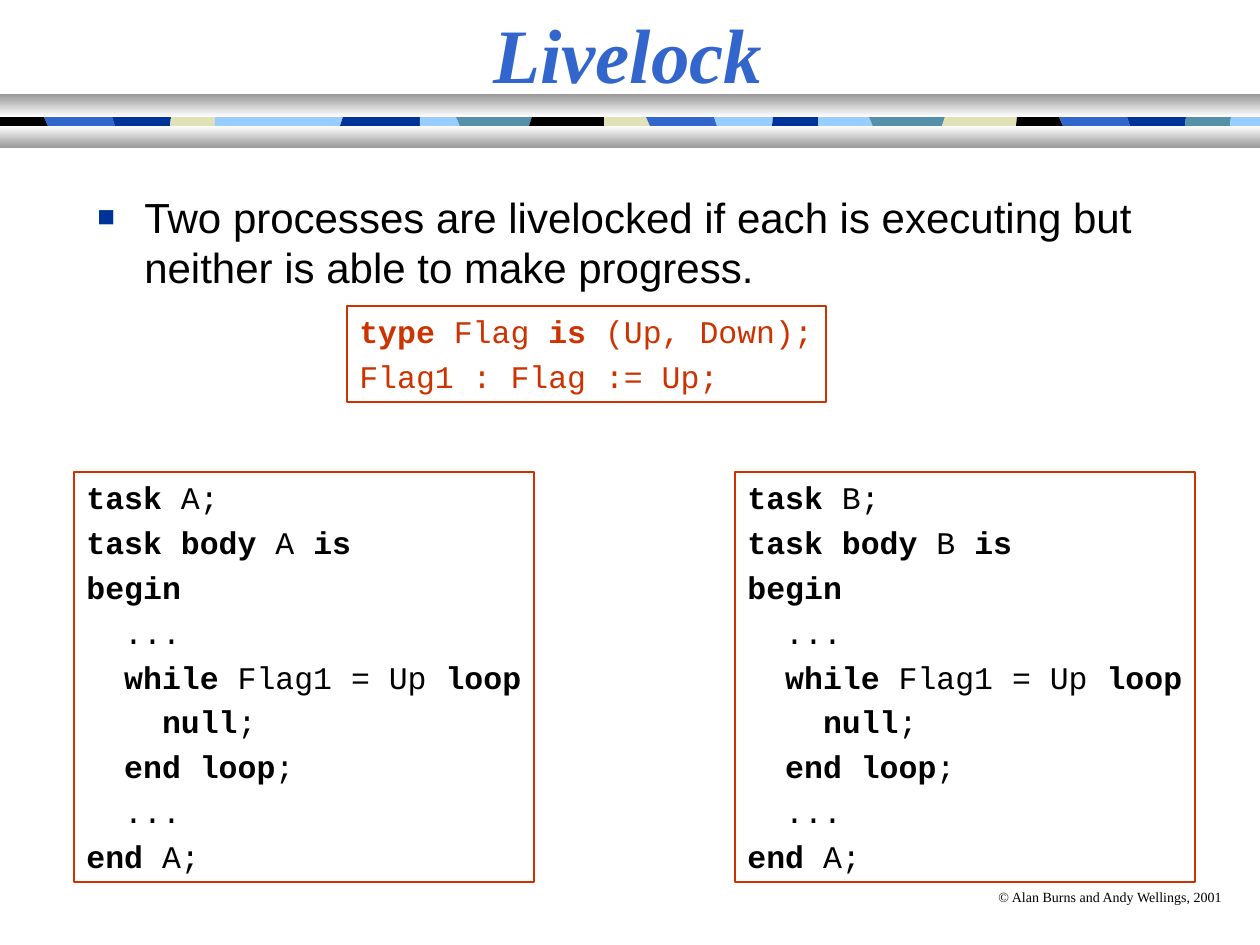
import pptx
import pptx.dml.color
import pptx.enum.shapes
import pptx.enum.text
import pptx.oxml
import pptx.util

PX = 914400 / 126
WHITE, GREY, RED, BLACK = "FFFFFF", "989898", "CC3300", "000000"
BLUE, NAVY, SKY, TEAL, CREAM = "3366CC", "003399", "99CCFF", "5490A8", "E1E1B7"
TILES = [
    (BLACK, 44, 48), (BLUE, 112, 115), (NAVY, 171, 170), (CREAM, 215, 215),
    (SKY, 343, 340), (NAVY, 420, 420), (SKY, 456, 460), (TEAL, 532, 529),
    (BLACK, 604, 604), (CREAM, 646, 650), (BLUE, 714, 717), (SKY, 773, 772),
    (NAVY, 818, 818), (SKY, 869, 873), (TEAL, 945, 942), (CREAM, 1017, 1016),
    (BLACK, 1059, 1063), (BLUE, 1127, 1130), (NAVY, 1186, 1185),
    (TEAL, 1231, 1230), (SKY, 1260, 1260),
]
FLAG_CODE = ["*type* Flag *is* (Up, Down);", "Flag1 : Flag := Up;"]


def px(length):
    return pptx.util.Emu(round(length * PX))


def colour(code):
    return pptx.dml.color.RGBColor.from_string(code)


def add_rectangle(page, left, top, width, height):
    shape = page.shapes.add_shape(
        pptx.enum.shapes.MSO_SHAPE.RECTANGLE,
        px(left), px(top), px(width), px(height))
    shape.shadow.inherit = False
    return shape


def add_text(box, lines, font, size, fill=BLACK, bold=False, italic=False,
             align="LEFT", anchor="TOP", wrap=True, before=0, after=0):
    frame = box.text_frame
    frame.word_wrap = wrap
    frame.vertical_anchor = getattr(pptx.enum.text.MSO_ANCHOR, anchor)
    for index, line in enumerate(lines):
        para = frame.add_paragraph() if index else frame.paragraphs[0]
        para.alignment = getattr(pptx.enum.text.PP_ALIGN, align)
        para.space_before = pptx.util.Pt(before if index else 0)
        para.space_after = pptx.util.Pt(after)
        for position, words in enumerate(line.split("*")):
            if words:
                span = para.add_run()
                span.text = words
                span.font.name = font
                span.font.size = pptx.util.Pt(size)
                span.font.bold = bold or position % 2 == 1
                span.font.italic = italic
                span.font.color.rgb = colour(fill)
    return frame


def add_text_box(page, left, top, width, height, lines, **style):
    box = page.shapes.add_textbox(px(left), px(top), px(width), px(height))
    return add_text(box, lines, **style)


def add_bullet(para, indent):
    properties = para._p.get_or_add_pPr()
    properties.set("marL", str(px(indent)))
    properties.set("indent", str(-px(indent)))
    namespace = pptx.oxml.ns.nsdecls("a")
    for element in (
            f'<a:buClr {namespace}><a:srgbClr val="{NAVY}"/></a:buClr>',
            f'<a:buSzPct {namespace} val="70000"/>',
            f'<a:buFont {namespace} typeface="Arial"/>',
            f'<a:buChar {namespace} char="■"/>'):
        properties.append(pptx.oxml.parse_xml(element))


def add_metal_bar(page, left, top, width, height, upper, lower):
    bar = add_rectangle(page, left, top, width, height)
    bar.line.fill.background()
    bar.fill.gradient()
    bar.fill.gradient_angle = 270
    for stop, code in zip(bar.fill.gradient_stops, (upper, lower)):
        stop.color.rgb = colour(code)


def add_tile(page, top, height, start, end, fill):
    def edge(upper, lower):
        return [(upper, top), (upper, top + 10),
                (lower, top + 19), (lower, top + height)]

    outline = edge(*end) + edge(*start)[::-1]
    builder = page.shapes.build_freeform(*edge(*start)[0], scale=PX)
    builder.add_line_segments(outline)
    tile = builder.convert_to_shape()
    tile.shadow.inherit = False
    tile.fill.solid()
    tile.fill.fore_color.rgb = colour(fill)
    tile.line.fill.background()


def add_band(page, left, top, width):
    start = (left, left)
    for fill, upper, lower in TILES:
        end = (left + upper, left + lower)
        add_tile(page, top + 13, 36, start, end, fill)
        start = end
    add_metal_bar(page, left, top, width, 23, GREY, WHITE)
    add_metal_bar(page, left, top + 32, width, 22, WHITE, GREY)


def add_code(page, left, top, width, height, lines, fill=BLACK):
    box = add_rectangle(page, left, top, width, height)
    box.fill.background()
    box.line.color.rgb = colour(RED)
    box.line.width = pptx.util.Pt(1)
    add_text(box, lines, font="Courier New", size=18, fill=fill,
             wrap=False, before=2, after=2)


def task_code(name):
    return [f"*task* {name};", f"*task body* {name} *is*", "*begin*", "  ...",
            "  *while* Flag1 = Up *loop*", "    *null*;", "  *end loop*;",
            "  ...", "*end* A;"]


def add_body(page, left, top, width, height):
    statement = add_text_box(
        page, left, top, width, height,
        ["Two processes are livelocked if each is executing but "
         "neither is able to make progress."], font="Arial", size=24)
    add_bullet(statement.paragraphs[0], 47)
    add_code(page, left + 262, top + 121, 479, 96, FLAG_CODE, fill=RED)
    for offset, name in ((-11, "A"), (650, "B")):
        add_code(page, left + offset, top + 287, 460, 410, task_code(name))


def main():
    deck = pptx.Presentation()
    deck.slide_width, deck.slide_height = px(1260), px(945)
    page = deck.slides.add_slide(deck.slide_layouts[6])
    add_band(page, 0, 94, 1260)
    add_text_box(page, 0, 0, 1256, 105, ["Livelock"],
                 font="Times New Roman", size=44, fill=BLUE, bold=True,
                 italic=True, align="CENTER", anchor="MIDDLE")
    add_body(page, 85, 185, 1124, 110)
    add_text_box(page, 986, 882, 252, 30,
                 ["© Alan Burns and Andy Wellings, 2001"],
                 font="Times New Roman", size=8, wrap=False)
    deck.save("out.pptx")


if __name__ == "__main__":
    main()
